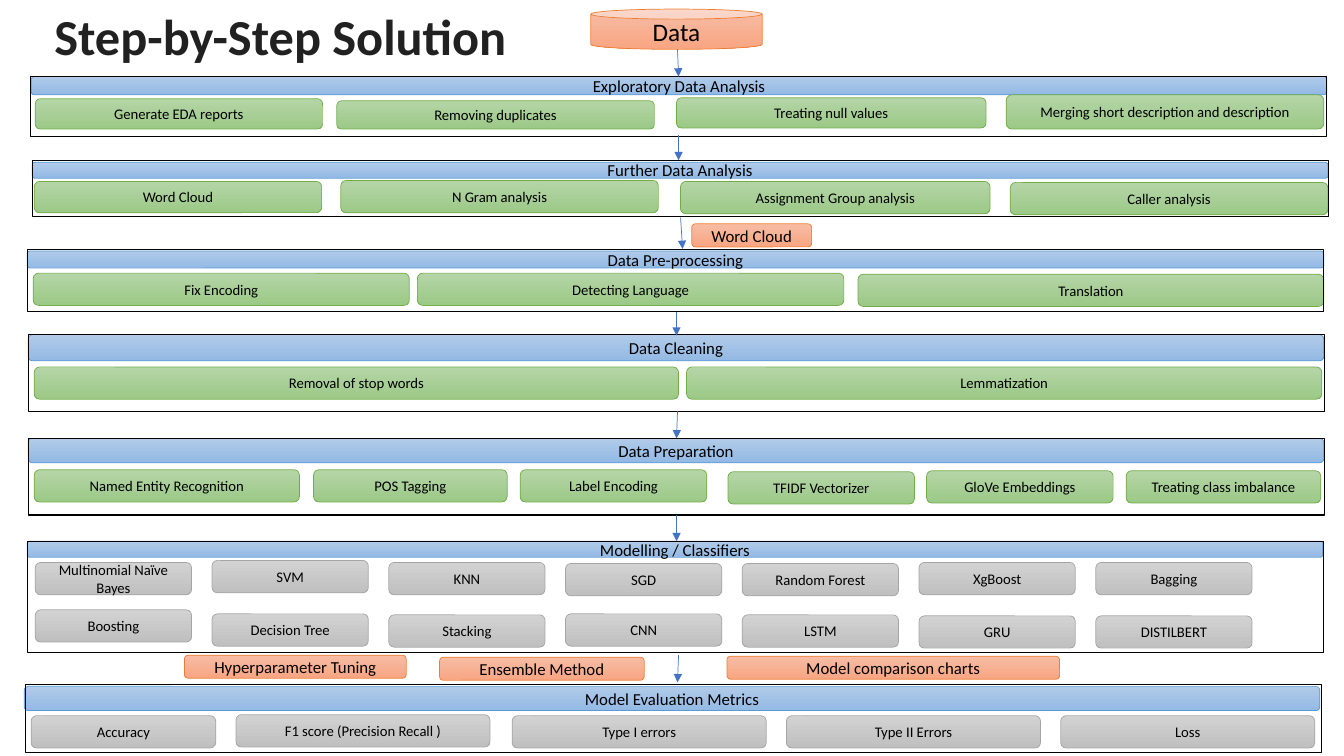
from lxml import etree
from pptx import Presentation
from pptx.dml.color import RGBColor
from pptx.enum.shapes import MSO_CONNECTOR as CONNECTOR, MSO_SHAPE as SHAPE
from pptx.enum.text import MSO_ANCHOR as ANCHOR, PP_ALIGN as ALIGN
from pptx.oxml.ns import qn
from pptx.util import Inches, Pt

PALETTES = {
    "blue": ("B1CBE9", "93B9E4", "5B9BD5"),
    "green": ("B5D5A7", "9CC987", "70AD47"),
    "orange": ("F7BDA5", "F8A582", "ED7D31"),
    "grey": ("D2D2D2", "C0C0C0", "A5A5A5"),
}
MODEL_NAMES = [
    ["Multinomial Naïve Bayes", "SVM", "KNN", "SGD", "Random Forest", "XgBoost", "Bagging"],
    ["Boosting", "Decision Tree", "Stacking", "CNN", "LSTM", "GRU", "DISTILBERT"],
]
MODEL_TOPS = [
    [5.58, 5.56, 5.58, 5.59, 5.59, 5.58, 5.58],
    [6.05, 6.09, 6.1, 6.09, 6.1, 6.11, 6.11],
]
models = [
    (name, 0.35 + 1.753 * column, top, 1.55, 0.32)
    for names, tops in zip(MODEL_NAMES, MODEL_TOPS)
    for column, (name, top) in enumerate(zip(names, tops))
]
STAGES = [
    ("Exploratory Data Analysis", (0.31, 0.76, 12.85, 0.18), (0.3, 0.76, 12.86, 0.59), "green", [
        ("Generate EDA reports", 0.35, 0.98, 2.85, 0.3),
        ("Removing duplicates", 3.34, 1, 3.15, 0.28),
        ("Treating null values", 6.71, 0.97, 3.07, 0.3),
        ("Merging short description and description", 9.98, 0.94, 3.15, 0.34),
    ]),
    ("Further Data Analysis", (0.32, 1.61, 12.85, 0.16), (0.32, 1.59, 12.86, 0.56), "green", [
        ("Word Cloud", 0.34, 1.8, 2.85, 0.31),
        ("N Gram analysis", 3.38, 1.79, 3.15, 0.32),
        ("Assignment Group analysis", 6.75, 1.8, 3.07, 0.32),
        ("Caller analysis", 10.02, 1.81, 3.15, 0.32),
    ]),
    ("Data Pre-processing", (0.27, 2.49, 12.86, 0.17), (0.27, 2.48, 12.86, 0.61), "green", [
        ("Fix Encoding", 0.33, 2.71, 3.73, 0.32),
        ("Detecting Language", 4.14, 2.71, 4.23, 0.32),
        ("Translation", 8.51, 2.72, 4.62, 0.32),
    ]),
    ("Data Cleaning", (0.28, 3.32, 12.85, 0.26), (0.28, 3.32, 12.86, 0.76), "green", [
        ("Removal of stop words", 0.34, 3.64, 6.39, 0.32),
        ("Lemmatization", 6.81, 3.64, 6.3, 0.32),
    ]),
    ("Data Preparation", (0.28, 4.35, 12.85, 0.24), (0.28, 4.35, 12.86, 0.76), "green", [
        ("Named Entity Recognition", 0.34, 4.66, 2.63, 0.32),
        ("POS Tagging", 3.11, 4.66, 1.92, 0.32),
        ("Label Encoding", 5.16, 4.66, 1.85, 0.32),
        ("TFIDF Vectorizer", 7.22, 4.68, 1.85, 0.32),
        ("GloVe Embeddings", 9.19, 4.67, 1.85, 0.32),
        ("Treating class imbalance", 11.17, 4.67, 1.93, 0.32),
    ]),
    ("Modelling / Classifiers", (0.27, 5.37, 12.85, 0.16), (0.27, 5.37, 12.86, 1.1), "grey", models),
    ("Model Evaluation Metrics", (0.24, 6.81, 12.85, 0.24), (0.25, 6.79, 12.86, 0.68), "grey", [
        ("Accuracy", 0.31, 7.1, 1.83, 0.32),
        ("F1 score (Precision Recall )", 2.34, 7.09, 2.52, 0.32),
        ("Type I errors", 5.08, 7.1, 2.52, 0.32),
        ("Type II Errors", 7.8, 7.1, 2.52, 0.32),
        ("Loss", 10.52, 7.1, 2.52, 0.32),
    ]),
]
OUTPUTS = [
    ("Word Cloud", 6.86, 2.22, 1.19, 0.23),
    ("Hyperparameter Tuning", 1.83, 6.5, 2.2, 0.23),
    ("Ensemble Method", 4.36, 6.52, 2.03, 0.23),
    ("Model comparison charts", 7.21, 6.51, 3.3, 0.23),
]
ARROWS = [
    (6.72, 0.49, 6.73, 0.76),
    (6.73, 1.34, 6.73, 1.59),
    (6.75, 2.16, 6.77, 2.47),
    (6.71, 3.1, 6.71, 3.33),
    (6.72, 4.08, 6.71, 4.35),
    (6.71, 5.11, 6.71, 5.37),
    (6.73, 6.5, 6.72, 6.77),
]


def color(hex_string):
    return RGBColor.from_string(hex_string)


def add_box(text, place, palette, size, preset=SHAPE.ROUNDED_RECTANGLE):
    shape = slide.shapes.add_shape(preset, *map(Inches, place))
    shape.shadow.inherit = False
    top_color, bottom_color, line_color = PALETTES[palette]
    shape.fill.gradient()
    shape.fill.gradient_angle = 270
    for stop, stop_color in zip(shape.fill.gradient_stops, (top_color, bottom_color)):
        stop.color.rgb = color(stop_color)
    shape.line.color.rgb = color(line_color)
    shape.line.width = Pt(0.5)
    shape.text_frame.word_wrap = True
    shape.text_frame.vertical_anchor = ANCHOR.MIDDLE
    paragraph = shape.text_frame.paragraphs[0]
    paragraph.text = text
    paragraph.alignment = ALIGN.CENTER
    for name, value in {"name": "Calibri", "size": Pt(size)}.items():
        setattr(paragraph.font, name, value)
    paragraph.font.color.rgb = color("000000")


presentation = Presentation()
presentation.slide_width = Inches(13.33)
presentation.slide_height = Inches(7.5)
slide = presentation.slides.add_slide(presentation.slide_layouts[6])

title = slide.shapes.add_textbox(Inches(0.44), Inches(0.07), Inches(11.5), Inches(0.64))
title.text_frame.word_wrap = True
title.text_frame.vertical_anchor = ANCHOR.MIDDLE
title_paragraph = title.text_frame.paragraphs[0]
title_paragraph.text = "Step-by-Step Solution"
title_paragraph.line_spacing = 0.9
for name, value in {"name": "Calibri", "size": Pt(36), "bold": True}.items():
    setattr(title_paragraph.font, name, value)
title_paragraph.font.color.rgb = color("212121")

add_box("Data", (5.86, 0.09, 1.7, 0.4), "orange", 18, SHAPE.CAN)

for heading, heading_place, frame_place, palette, steps in STAGES:
    add_box(heading, heading_place, "blue", 12)
    for step, *step_place in steps:
        add_box(step, step_place, palette, 10.5)
    frame = slide.shapes.add_shape(SHAPE.RECTANGLE, *map(Inches, frame_place))
    frame.shadow.inherit = False
    frame.fill.background()
    frame.line.color.rgb = color("000000")
    frame.line.width = Pt(0.75)

for output, *output_place in OUTPUTS:
    add_box(output, output_place, "orange", 12)

for ends in ARROWS:
    arrow = slide.shapes.add_connector(CONNECTOR.STRAIGHT, *map(Inches, ends))
    arrow.line.color.rgb = color("4472C4")
    arrow.line.width = Pt(0.5)
    properties = arrow.element.spPr
    etree.SubElement(properties.find(qn("a:ln")), qn("a:tailEnd"), type="triangle")
    etree.SubElement(properties, qn("a:effectLst"))

presentation.save("out.pptx")
